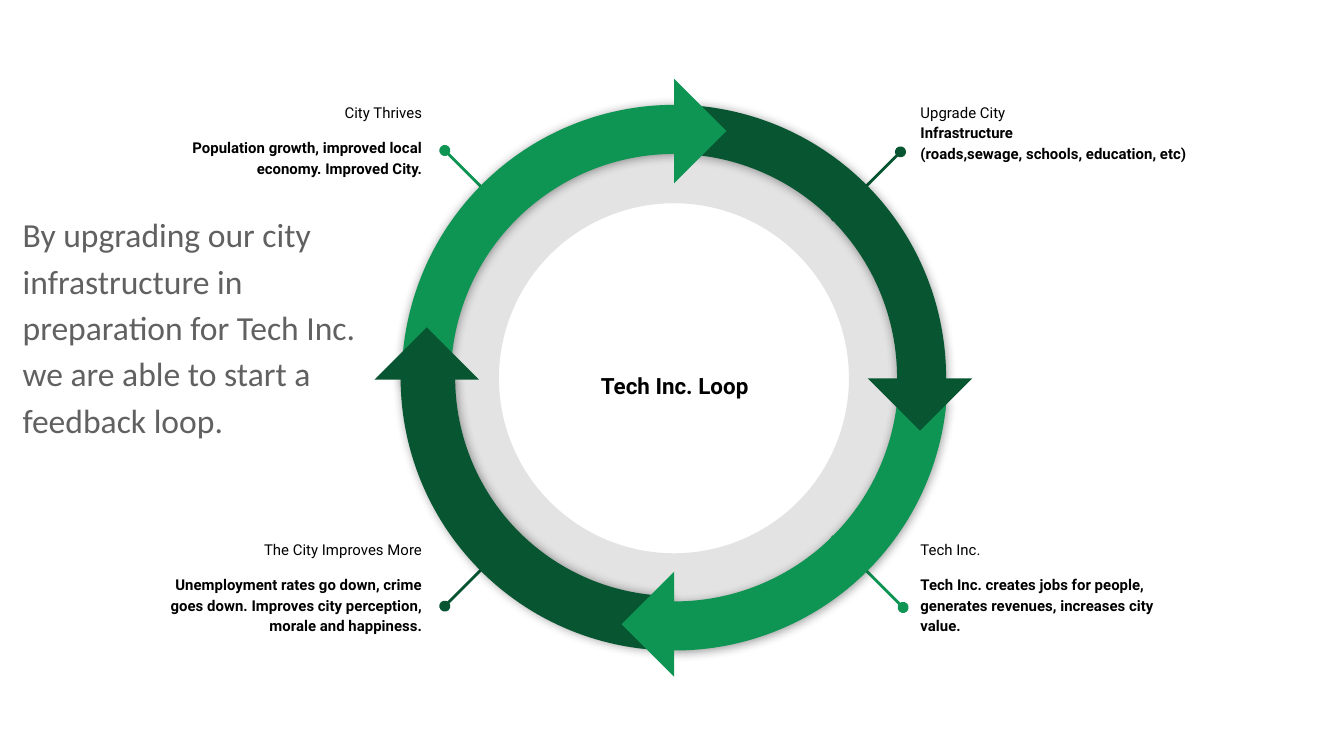
from lxml import etree
from pptx import Presentation
from pptx.dml.color import RGBColor
from pptx.enum.shapes import MSO_CONNECTOR, MSO_SHAPE
from pptx.enum.text import MSO_ANCHOR, PP_ALIGN
from pptx.oxml.ns import qn
from pptx.util import Inches, Pt

STRAIGHT = MSO_CONNECTOR.STRAIGHT
DONUT, ARC, TRIANGLE = MSO_SHAPE.DONUT, MSO_SHAPE.BLOCK_ARC, MSO_SHAPE.RIGHT_TRIANGLE
LEFT, CENTER, RIGHT = PP_ALIGN.LEFT, PP_ALIGN.CENTER, PP_ALIGN.RIGHT
TOP, MIDDLE = MSO_ANCHOR.TOP, MSO_ANCHOR.MIDDLE

LIGHT, DARK, BLACK, GRAY = "0E9453", "085631", "000000", "616161"
ARC_SIZE, HEAD_SIZE = 4.06, 0.55


def rgb(value):
    return RGBColor.from_string(value)


class LoopSlide:
    def __init__(self, page, font):
        self.page = page
        self.font = font

    def shape(self, kind, left, top, size, color, rotation=0):
        shape = self.page.shapes.add_shape(
            kind, Inches(left), Inches(top), Inches(size), Inches(size))
        shape.shadow.inherit = False
        shape.fill.solid()
        shape.fill.fore_color.rgb = rgb(color)
        shape.line.fill.background()
        shape.rotation = rotation
        return shape

    def ring(self, left, top, size, thickness, opacity):
        ring = self.shape(DONUT, left, top, size, BLACK)
        ring.adjustments[0] = thickness
        self.set_alpha(ring.element.spPr.find(".//" + qn("a:srgbClr")), opacity)

    def arc(self, left, top, color, rotation, adjustments, flip, shadow_angle):
        """Add a shadowed quarter of the loop: start, end and thickness."""
        arc = self.shape(ARC, left, top, ARC_SIZE, color, rotation)
        for index, value in enumerate(adjustments):
            arc.adjustments[index] = value
        properties = arc.element.spPr
        if flip:
            properties.xfrm.set("flipH", "1")
        shadow = etree.SubElement(
            properties.find(qn("a:effectLst")), qn("a:outerShdw"),
            blurRad=str(Pt(5.6)), dist=str(Pt(0.8)), dir=str(shadow_angle * 60000),
            algn="bl", rotWithShape="0")
        self.set_alpha(etree.SubElement(shadow, qn("a:srgbClr"), val=BLACK), 40)

    def set_alpha(self, color_element, percent):
        etree.SubElement(color_element, qn("a:alpha"), val=str(percent * 1000))

    def pointer(self, start, end, color):
        """Add a line with a dot at its start."""
        line = self.page.shapes.add_connector(
            STRAIGHT, *(Inches(value) for value in (*start, *end)))
        line.line.color.rgb = rgb(color)
        line.line.width = Pt(1.5)
        properties = line.element.spPr
        etree.SubElement(properties.find(qn("a:ln")), qn("a:headEnd"), type="oval")
        etree.SubElement(properties, qn("a:effectLst"))

    def text(self, left, top, width, height, lines, size, bold_from=1, color=BLACK,
             align=LEFT, anchor=TOP, font=None, first_gap=0):
        """Add text whose lines are bold from the given index on."""
        box = self.page.shapes.add_textbox(
            Inches(left), Inches(top), Inches(width), Inches(height))
        frame = box.text_frame
        frame.word_wrap = True
        frame.vertical_anchor = anchor
        frame.margin_left = frame.margin_right = Inches(0.1)
        frame.margin_top = frame.margin_bottom = Inches(0.1)
        for index, line in enumerate(lines):
            para = frame.paragraphs[0] if index == 0 else frame.add_paragraph()
            para.text = line
            para.alignment = align
            para.line_spacing = 1.15
            para.space_after = Pt(first_gap if index == 0 else 0)
            para.font.name = font or self.font
            para.font.size = Pt(size)
            para.font.bold = index >= bold_from
            para.font.color.rgb = rgb(color)


def main():
    deck = Presentation()
    deck.slide_width = Inches(10)
    deck.slide_height = deck.slide_width * 9 // 16
    slide = LoopSlide(deck.slides.add_slide(deck.slide_layouts[6]), "Roboto")

    slide.ring(3.1, 0.9, 3.83, 0.16, 11)

    # Dot, ring end, colour, text corner, alignment, gap after heading, lines
    steps = [
        ((3.31, 1.12), (3.83, 1.64), LIGHT, (0.99, 0.65), RIGHT, 8,
         ["City Thrives",
          "Population growth, improved local economy. Improved City."]),
        ((3.31, 4.51), (3.83, 3.99), DARK, (0.99, 3.9), RIGHT, 8,
         ["The City Improves More",
          "Unemployment rates go down, crime goes down. "
          "Improves city perception, morale and happiness."]),
        ((6.72, 4.52), (6.19, 3.99), LIGHT, (6.75, 3.9), LEFT, 8,
         ["Tech Inc.",
          "Tech Inc. creates jobs for people, generates revenues, "
          "increases city value."]),
        ((6.7, 1.13), (6.19, 1.64), DARK, (6.75, 0.65), LEFT, 0,
         ["Upgrade City", "Infrastructure",
          "(roads,sewage, schools, education, etc)"]),
    ]
    for dot, end, color, corner, align, gap, lines in steps:
        slide.pointer(dot, end, color)
        slide.text(*corner, 2.25, 1.01, lines, 8, align=align, first_gap=gap)

    slide.text(3.93, 2.25, 2.18, 1.21, ["Tech Inc. Loop"], 12, bold_from=0,
               align=CENTER, anchor=MIDDLE)

    # Left, colour, rotation, adjustments, flipped, shadow angle
    arcs = [
        (2.99, LIGHT, 330, (143.49, 198.72, 0.09), True, 90),
        (2.98, DARK, 30, (145.46, 199.02, 0.09), False, 90),
        (2.98, DARK, 150, (180.42, 17.99, 0.1), False, 0),
        (2.99, LIGHT, 210, (179.67, 15.3, 0.09), True, 90),
    ]
    for left, *details in arcs:
        slide.arc(left, 0.78, *details)

    arrowheads = [(2.9, 2.55, DARK, 135), (6.57, 2.54, DARK, 315),
                  (4.74, 4.37, LIGHT, 45), (4.74, 0.7, LIGHT, 225)]
    for left, top, color, rotation in arrowheads:
        slide.shape(TRIANGLE, left, top, HEAD_SIZE, color, rotation)

    slide.text(0.07, 1.45, 2.72, 2.72,
               ["By upgrading our city infrastructure in preparation for "
                "Tech Inc. we are able to start a feedback loop."],
               18, color=GRAY, font="Calibri", first_gap=16)

    deck.save("out.pptx")


if __name__ == "__main__":
    main()
